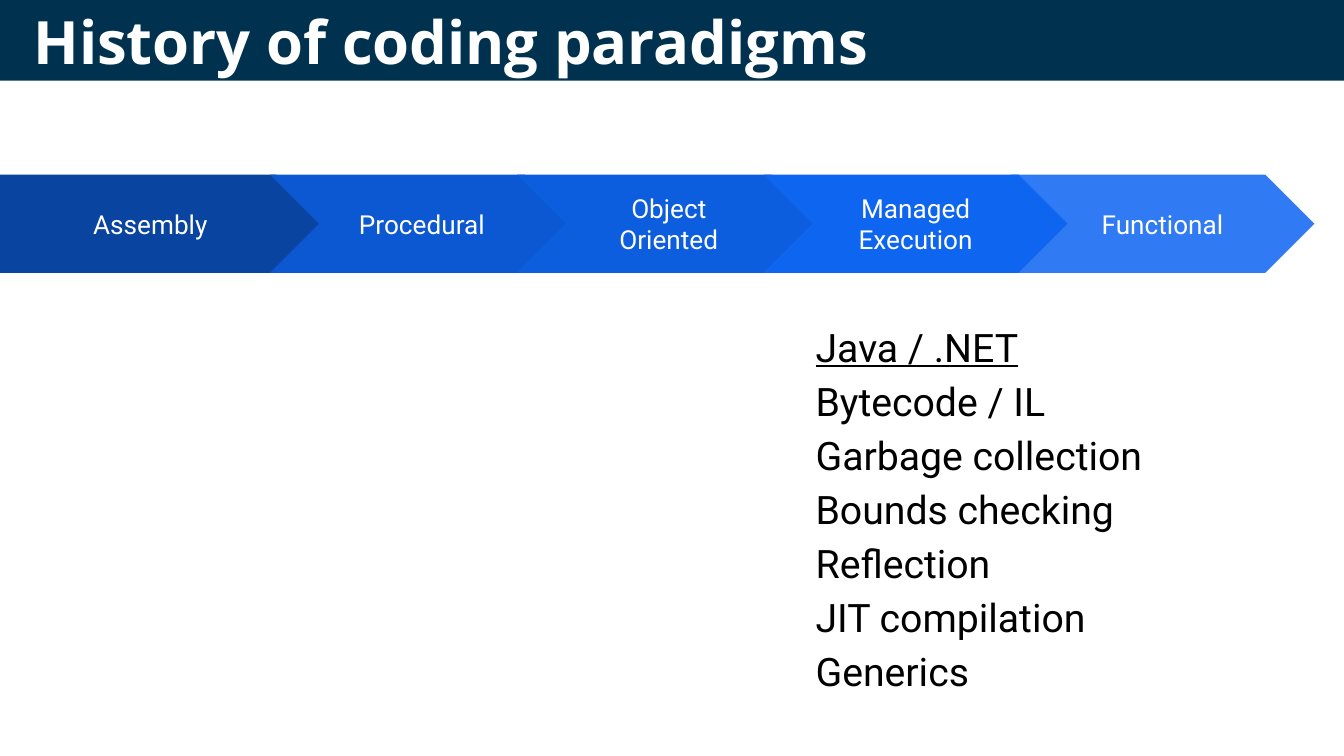
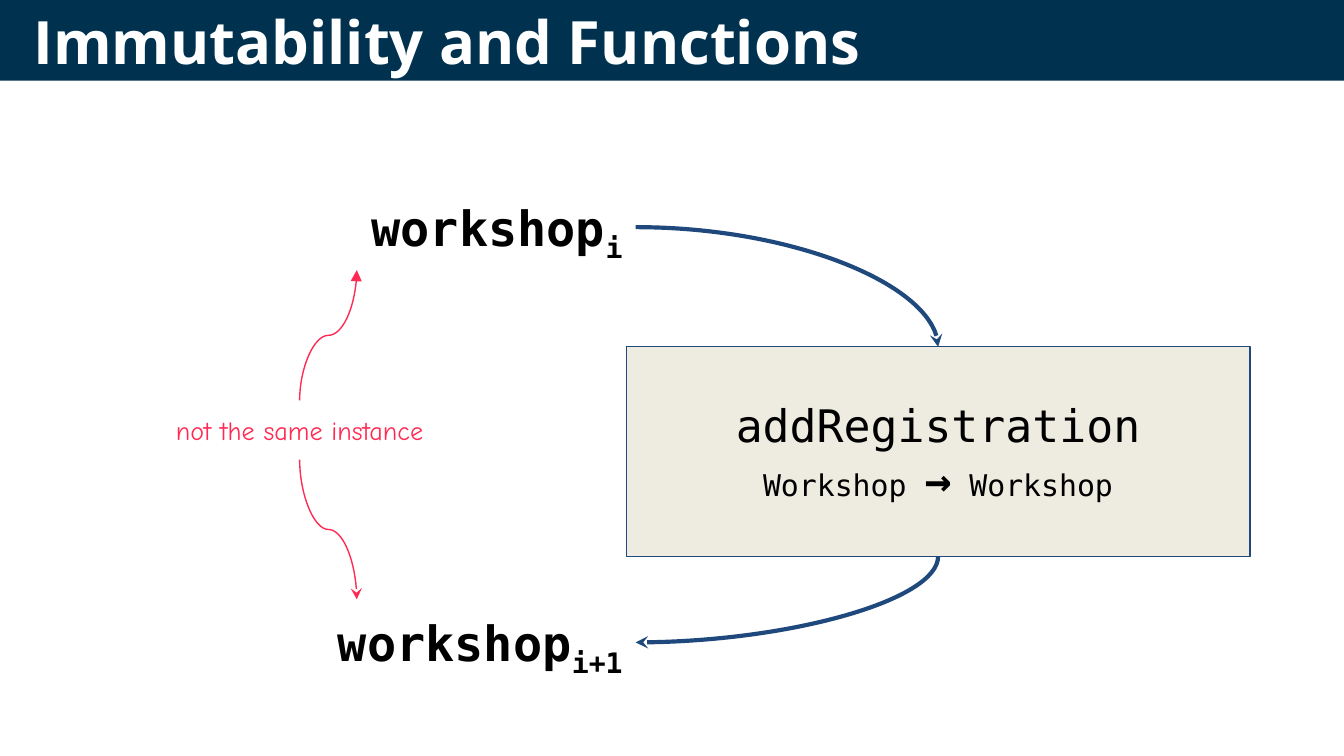
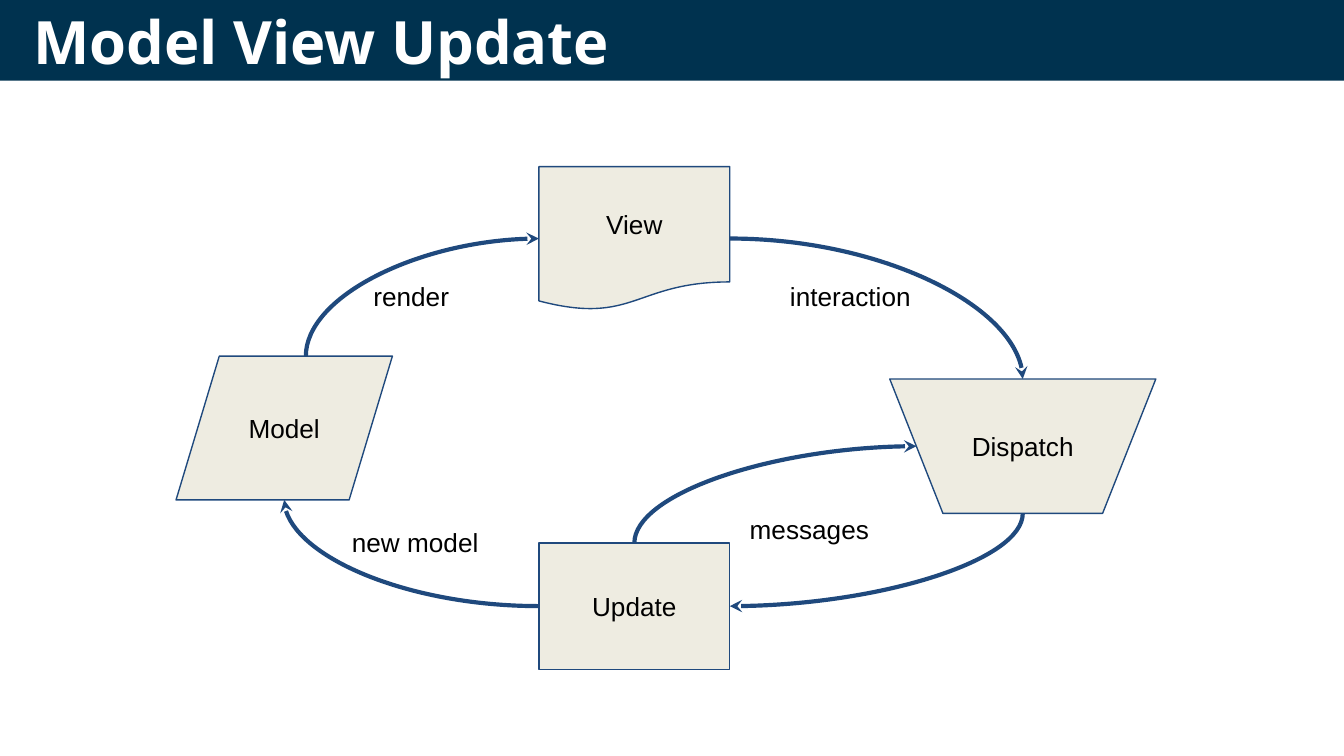
import dataclasses

import pptx
import pptx.dml.color
import pptx.enum.shapes
import pptx.enum.text
import pptx.oxml.ns
import pptx.util
from lxml import etree

Inches = pptx.util.Inches
RGBColor = pptx.dml.color.RGBColor
PRESET = pptx.enum.shapes.MSO_SHAPE
ALIGN = pptx.enum.text.PP_ALIGN
ANCHOR = pptx.enum.text.MSO_ANCHOR
qn = pptx.oxml.ns.qn

NAVY = RGBColor(0x00, 0x32, 0x4F)
WHITE = RGBColor(0xFF, 0xFF, 0xFF)
BLACK = RGBColor(0x00, 0x00, 0x00)
CREAM = RGBColor(0xEE, 0xEC, 0xE1)
BLUE = RGBColor(0x1F, 0x49, 0x7D)
RED = RGBColor(0xFF, 0x2A, 0x53)
FIRST_ERA = ("Assembly", RGBColor(0x09, 0x44, 0xA1))
LATER_ERAS = [
    (0, "Procedural", RGBColor(0x0C, 0x58, 0xD3)),
    (1, "Object Oriented", RGBColor(0x0D, 0x5D, 0xDF)),
    (3, "Functional", RGBColor(0x30, 0x7B, 0xF3)),
    (2, "Managed Execution", RGBColor(0x0E, 0x65, 0xF0)),
]
MANAGED_FEATURES = [
    "Java / .NET", "Bytecode / IL", "Garbage collection", "Bounds checking",
    "Reflection", "JIT compilation", "Generics",
]
TITLE_FONT = "Open Sans"
ERA_FONT = "Roboto"
CODE_FONT = "DejaVu Sans Mono"
NOTE_FONT = "Comic Neue"
DIAGRAM_FONT = "Arial"


@dataclasses.dataclass
class Box:
    """A rectangle in inches."""
    left: float
    top: float
    width: float
    height: float

    def inside(self, left, top, width, height):
        """Return a box offset from this one's corner."""
        return Box(self.left + left, self.top + top, width, height)

    def point(self, across, down):
        """Return the point at the given fractions of the box."""
        return self.left + across * self.width, self.top + down * self.height

    def lengths(self):
        """Return the four values as lengths."""
        return [Inches(value) for value in dataclasses.astuple(self)]


def style_run(run, font, size, color, bold=False):
    """Format one run."""
    run.font.name = font
    run.font.size = pptx.util.Pt(size)
    run.font.bold = bold
    run.font.color.rgb = color


def write(shape, lines, font, size, color, bold=False, align=ALIGN.LEFT, anchor=ANCHOR.TOP):
    """Fill a shape with evenly formatted lines."""
    frame = shape.text_frame
    frame.word_wrap = True
    frame.vertical_anchor = anchor
    frame.margin_left = frame.margin_right = Inches(0.1)
    frame.margin_top = frame.margin_bottom = Inches(0.1)
    frame.text = "\n".join(lines)
    for paragraph in frame.paragraphs:
        paragraph.alignment = align
        for run in paragraph.runs:
            style_run(run, font, size, color, bold)
    return frame


def add_text(slide, box, lines, font, size, color, **options):
    """Add a text box."""
    return write(slide.shapes.add_textbox(*box.lengths()), lines, font, size, color, **options)


def add_block(slide, preset, box, fill, line=None):
    """Add a filled preset shape."""
    shape = slide.shapes.add_shape(preset, *box.lengths())
    shape.shadow.inherit = False
    shape.fill.solid()
    shape.fill.fore_color.rgb = fill
    if line is None:
        shape.line.fill.background()
    else:
        shape.line.color.rgb = line
        shape.line.width = pptx.util.Pt(0.75)
    return shape


def add_curve(slide, start, end, color=BLUE, width=2.25, upright=False, bends=2, arrow="stealth"):
    """Add a curved arrow, leaving vertically when upright."""
    begin_x, begin_y = start
    end_x, end_y = end
    rotation = 0
    if upright:
        middle_x, middle_y = (begin_x + end_x) / 2, (begin_y + end_y) / 2
        rotation = 90 if end_y > begin_y else 270
        half_width = abs(end_y - begin_y) / 2
        half_height = (end_x - begin_x) / 2 * (-1 if rotation == 90 else 1)
        begin_x, end_x = middle_x - half_width, middle_x + half_width
        begin_y, end_y = middle_y - half_height, middle_y + half_height
    connector = slide.shapes.add_connector(
        pptx.enum.shapes.MSO_CONNECTOR.CURVE,
        Inches(begin_x), Inches(begin_y), Inches(end_x), Inches(end_y))
    connector.line.color.rgb = color
    connector.line.width = pptx.util.Pt(width)
    properties = connector._element.spPr
    if rotation:
        properties.find(qn("a:xfrm")).set("rot", str(rotation * 60000))
    properties.find(qn("a:prstGeom")).set("prst", f"curvedConnector{bends}")
    etree.SubElement(properties.find(qn("a:ln")), qn("a:tailEnd"), type=arrow)
    etree.SubElement(properties, qn("a:effectLst"))


def add_titled_slide(presentation, title):
    """Add a blank slide with the title band."""
    slide = presentation.slides.add_slide(presentation.slide_layouts[6])
    add_block(slide, PRESET.RECTANGLE, Box(0, 0, 10, 0.6), NAVY)
    add_text(slide, Box(0.15, 0.08, 9.77, 0.45), [title], TITLE_FONT, 32, WHITE,
             bold=True, anchor=ANCHOR.MIDDLE)
    return slide


def add_era(slide, preset, box, era, color):
    """Draw one labelled era."""
    shape = add_block(slide, preset, box, color)
    write(shape, [era], ERA_FONT, 14, WHITE, align=ALIGN.CENTER, anchor=ANCHOR.MIDDLE)


def add_timeline(slide, box):
    """Draw the row of eras across the box."""
    width, first_left = 2.26, 2.01
    step = (box.width - width - first_left) / (len(LATER_ERAS) - 1)
    add_era(slide, PRESET.PENTAGON, box.inside(0, 0, 2.42, box.height), *FIRST_ERA)
    for position, era, color in LATER_ERAS:
        place = box.inside(first_left + position * step, 0, width, box.height)
        add_era(slide, PRESET.CHEVRON, place, era, color)


def add_features(slide, box):
    """List the features under an underlined heading."""
    frame = add_text(slide, box, MANAGED_FEATURES, ERA_FONT, 21, BLACK)
    for paragraph in frame.paragraphs:
        paragraph.line_spacing = 1.15
    frame.paragraphs[0].runs[0].font.underline = True


def add_workshop(slide, box, index):
    """Write a workshop value with its subscript."""
    frame = add_text(slide, box, ["workshop"], CODE_FONT, 26, BLACK, bold=True, align=ALIGN.RIGHT)
    subscript = frame.paragraphs[0].add_run()
    subscript.text = index
    style_run(subscript, CODE_FONT, 26, BLACK, bold=True)
    subscript.font._element.set("baseline", "-25000")


def add_function_box(slide, box):
    """Draw the function with its signature."""
    shape = add_block(slide, PRESET.RECTANGLE, box, CREAM, BLUE)
    frame = write(shape, ["addRegistration"], CODE_FONT, 24, BLACK,
                  align=ALIGN.CENTER, anchor=ANCHOR.MIDDLE)
    signature = frame.add_paragraph()
    signature.alignment = ALIGN.CENTER
    for text, size, bold in [("Workshop ", 16, False), ("→", 24, True), (" Workshop", 16, False)]:
        run = signature.add_run()
        run.text = text
        style_run(run, CODE_FONT, size, BLACK, bold)


def add_immutability(slide, box):
    """Draw a function turning one workshop into the next."""
    before = box.inside(0, 0, 4.15, 0.64)
    after = box.inside(0, 3.09, 4.15, 0.64)
    function = box.inside(4.08, 1.21, 4.64, 1.56)
    note = box.inside(0.33, 1.61, 2.64, 0.44)
    add_workshop(slide, before, "i")
    add_function_box(slide, function)
    add_curve(slide, function.point(0.5, 1), after.point(1, 0.5), upright=True)
    add_workshop(slide, after, "i+1")
    add_curve(slide, before.point(1, 0.5), function.point(0.5, 0))
    add_text(slide, note, ["not the same instance"], NOTE_FONT, 14, RED, align=ALIGN.CENTER)
    for start, end, arrow in [
        (note.point(0.5, 0), before.point(0.5, 1), "triangle"),
        (note.point(0.5, 1), after.point(0.5, 0), "stealth"),
    ]:
        add_curve(slide, start, end, RED, 0.75, upright=True, bends=3, arrow=arrow)


def add_update_cycle(slide, box):
    """Draw the cycle of model, view, dispatch and update."""
    model = box.inside(0, 1.41, 1.61, 1.07)
    view = box.inside(2.7, 0, 1.42, 1.07)
    dispatch = box.inside(5.31, 1.58, 1.98, 1)
    update = box.inside(2.7, 2.8, 1.42, 0.94)
    for name, preset, place in [
        ("Model", PRESET.FLOWCHART_DATA, model),
        ("View", PRESET.FLOWCHART_DOCUMENT, view),
        ("Update", PRESET.FLOWCHART_PROCESS, update),
        ("Dispatch", PRESET.FLOWCHART_MANUAL_OPERATION, dispatch),
    ]:
        shape = add_block(slide, preset, place, CREAM, BLUE)
        write(shape, [name], DIAGRAM_FONT, 14, BLACK, align=ALIGN.CENTER, anchor=ANCHOR.MIDDLE)
    for start, end, upright in [
        (model.point(0.6, 0), view.point(0, 0.5), True),
        (update.point(0, 0.5), model.point(0.5, 1), False),
        (update.point(0.5, 0), dispatch.point(0.1, 0.5), True),
        (view.point(1, 0.5), dispatch.point(0.5, 0), False),
        (dispatch.point(0.5, 1), update.point(1, 0.5), True),
    ]:
        add_curve(slide, start, end, upright=upright)
    for label, left, top, width in [
        ("render", 1.37, 0.75, 0.93),
        ("new model", 1.21, 2.58, 1.34),
        ("interaction", 4.47, 0.75, 1.34),
        ("messages", 4.17, 2.48, 1.34),
    ]:
        add_text(slide, box.inside(left, top, width, 0.44), [label], DIAGRAM_FONT, 14, BLACK)


def main():
    """Build and save the presentation."""
    presentation = pptx.Presentation()
    presentation.slide_width = Inches(10)
    presentation.slide_height = presentation.slide_width * 9 // 16

    history = add_titled_slide(presentation, "History of coding paradigms")
    add_timeline(history, Box(0, 1.3, 9.78, 0.73))
    add_features(history, Box(5.97, 2.25, 3.71, 2.57))

    immutability = add_titled_slide(presentation, "Immutability and Functions")
    add_immutability(immutability, Box(0.58, 1.37, 8.72, 3.73))

    cycle = add_titled_slide(presentation, "Model View Update")
    add_update_cycle(cycle, Box(1.31, 1.24, 7.29, 3.74))

    presentation.save("out.pptx")


if __name__ == "__main__":
    main()
